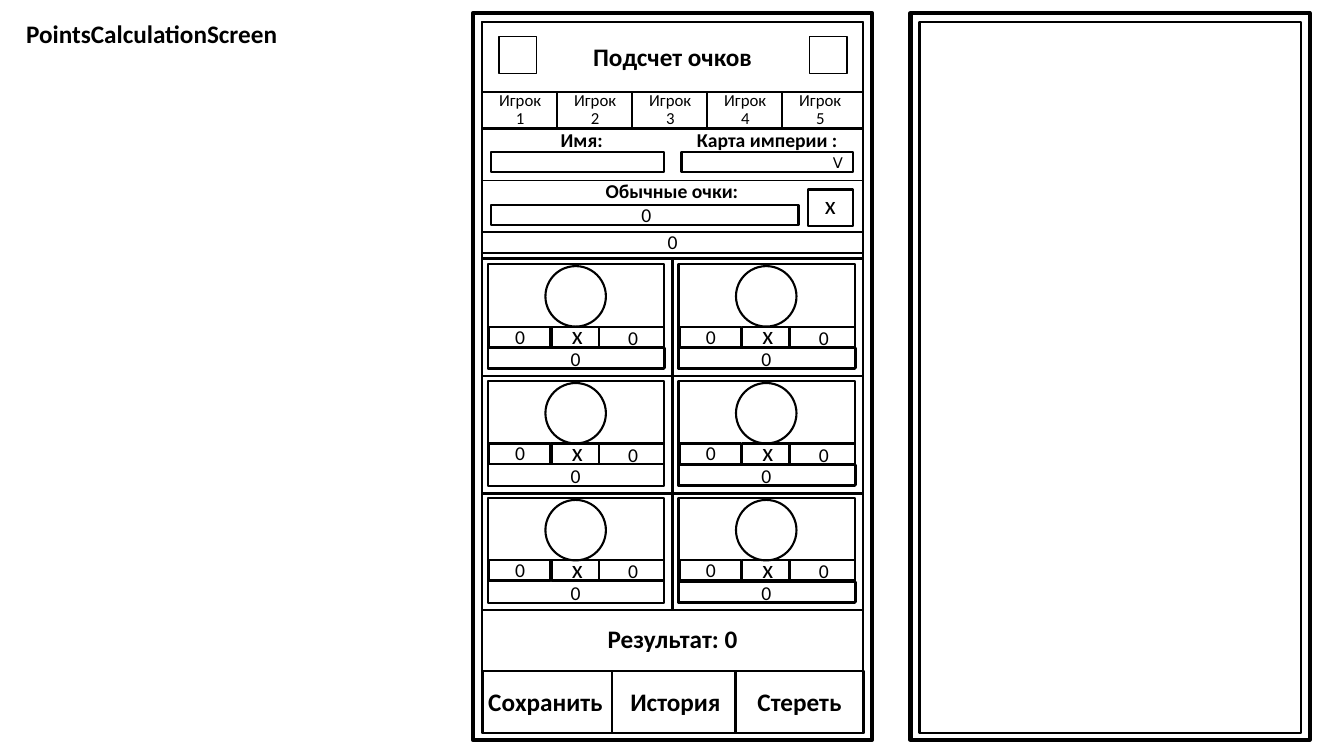
from pptx import Presentation
from pptx.dml.color import RGBColor
from pptx.enum.shapes import MSO_SHAPE
from pptx.enum.text import MSO_AUTO_SIZE, PP_ALIGN
from pptx.util import Inches, Pt

RECT = MSO_SHAPE.RECTANGLE
OVAL = MSO_SHAPE.OVAL
CENTER = PP_ALIGN.CENTER
GROW = MSO_AUTO_SIZE.SHAPE_TO_FIT_TEXT
BLACK = "000000"
SCREEN_W, SCREEN_H = 3.78, 7.05
CARD_W, CARD_H = 1.89, 1.16
TITLE = {"size": Pt(18), "bold": True}
HEADING = {"size": Pt(14), "bold": True}
CROSS = {"size": Pt(18)}
NUMBER = {"size": Pt(14)}
ARROW = {"size": Pt(10.5)}
TAB = {"size": Pt(12)}


def rgb(value):
    return RGBColor.from_string(value)


def outline(slide, left, top, width, height, weight=1.5, kind=RECT):
    frame = slide.shapes.add_shape(
        kind, Inches(left), Inches(top), Inches(width), Inches(height))
    frame.shadow.inherit = False
    frame.fill.background()
    frame.line.color.rgb = rgb(BLACK)
    frame.line.width = Pt(weight)


def label(slide, left, top, width, height, lines, style, wrap=False, spacing=None):
    box = slide.shapes.add_textbox(
        Inches(left), Inches(top), Inches(width), Inches(height))
    content = box.text_frame
    content.word_wrap = wrap
    content.auto_size = GROW
    for index, line in enumerate(lines):
        paragraph = content.add_paragraph() if index else content.paragraphs[0]
        paragraph.alignment = CENTER
        if spacing:
            paragraph.line_spacing = Pt(spacing)
        run = paragraph.add_run()
        run.text = line
        run.font.name = "Calibri"
        run.font.color.rgb = rgb(BLACK)
        for attribute, value in style.items():
            setattr(run.font, attribute, value)


def phone(slide, left, top):
    outline(slide, left - 0.09, top - 0.09, SCREEN_W + 0.18, SCREEN_H + 0.16, 3)
    outline(slide, left, top, SCREEN_W, SCREEN_H)


def sections(slide, left, top):
    for height in (0.69, 0.37, 0.51, 0.77, 1.17, 1.17, 1.15, 0.61, 0.61):
        outline(slide, left, top, SCREEN_W, height, 1)
        top += height


def header(slide, left, top):
    for icon_left in (0.17, 3.25):
        outline(slide, left + icon_left, top + 0.14, 0.37, 0.37, 1)
    label(slide, left + 1, top + 0.14, 1.78, 0.4, ["Подсчет очков"], TITLE)


def player_tabs(slide, left, top):
    step = 0.744
    for index in range(5):
        tab_left = left + index * step
        last = index == 4
        outline(slide, tab_left, top, 0.8 if last else step, 0.36)
        label(slide, tab_left + 0.03, top - 0.05, 0.7, 0.47,
              ["Игрок", str(index + 1)], TAB, wrap=True, spacing=13)


def player_fields(slide, left, top):
    outline(slide, left + 0.09, top + 0.23, 1.72, 0.2)
    outline(slide, left + 1.98, top + 0.23, 1.7, 0.2)
    label(slide, left + 0.68, top - 0.06, 0.62, 0.34, ["Имя:"], HEADING)
    label(slide, left + 2.03, top - 0.06, 1.6, 0.34, ["Карта империи :"], HEADING)
    label(slide, left + 3.37, top + 0.2, 0.32, 0.28, ["ᐯ"], ARROW)


def regular_points(slide, left, top):
    label(slide, left + 1.12, top - 0.06, 1.53, 0.34, ["Обычные очки:"], HEADING)
    outline(slide, left + 0.09, top + 0.24, 3.05, 0.2)
    label(slide, left + 1.48, top + 0.17, 0.3, 0.34, ["0"], NUMBER)
    outline(slide, left + 3.23, top + 0.09, 0.45, 0.36)
    label(slide, left + 3.3, top + 0.04, 0.31, 0.4, ["x"], CROSS)
    outline(slide, left, top + 0.51, SCREEN_W, 0.21)
    label(slide, left + 1.74, top + 0.44, 0.3, 0.34, ["0"], NUMBER)


def score_card(slide, left, top, total_outlined):
    outline(slide, left, top, CARD_W, CARD_H)
    outline(slide, left + 0.06, top + 0.05, 1.75, 1.04)
    outline(slide, left + 0.63, top + 0.07, 0.6, 0.6, kind=OVAL)
    for cell_left, width in ((0.07, 0.61), (0.69, 0.47), (1.16, 0.65)):
        outline(slide, left + cell_left, top + 0.67, width, 0.2)
    if total_outlined:
        outline(slide, left + 0.06, top + 0.88, 1.76, 0.2)
    label(slide, left + 0.79, top + 0.55, 0.31, 0.4, ["x"], CROSS)
    for zero_left, zero_top in ((0.23, 0.6), (1.35, 0.61), (0.78, 0.82)):
        label(slide, left + zero_left, top + zero_top, 0.3, 0.34, ["0"], NUMBER)


def score_grid(slide, left, top):
    for row in range(3):
        for column in range(2):
            score_card(slide, left + column * CARD_W, top + row * CARD_H,
                       row == 0 or column == 1)


def footer(slide, left, top):
    label(slide, left + 1.14, top + 0.08, 1.5, 0.4, ["Результат: 0"], TITLE)
    buttons = (
        ("Сохранить", 0.01, 1.28, -0.04, 1.34),
        ("История", 1.29, 1.23, 1.37, 1.1),
        ("Стереть", 2.51, 1.28, 2.63, 1.04),
    )
    for caption, button_left, width, caption_left, caption_width in buttons:
        outline(slide, left + button_left, top + 0.61, width, 0.61)
        label(slide, left + caption_left, top + 0.71, caption_width, 0.4,
              [caption], TITLE)


def points_screen(slide, left, top):
    phone(slide, left, top)
    sections(slide, left, top)
    header(slide, left, top)
    player_tabs(slide, left, top + 0.69)
    player_fields(slide, left, top + 1.06)
    regular_points(slide, left, top + 1.57)
    score_grid(slide, left, top + 2.35)
    footer(slide, left, top + 5.83)


def main():
    deck = Presentation()
    deck.slide_width = Inches(13.33)
    deck.slide_height = Inches(7.5)
    slide = deck.slides.add_slide(deck.slide_layouts[6])
    points_screen(slide, 4.78, 0.22)
    phone(slide, 9.12, 0.22)
    label(slide, 0.15, 0.13, 2.71, 0.4, ["PointsCalculationScreen"], TITLE)
    deck.save("out.pptx")


if __name__ == "__main__":
    main()
